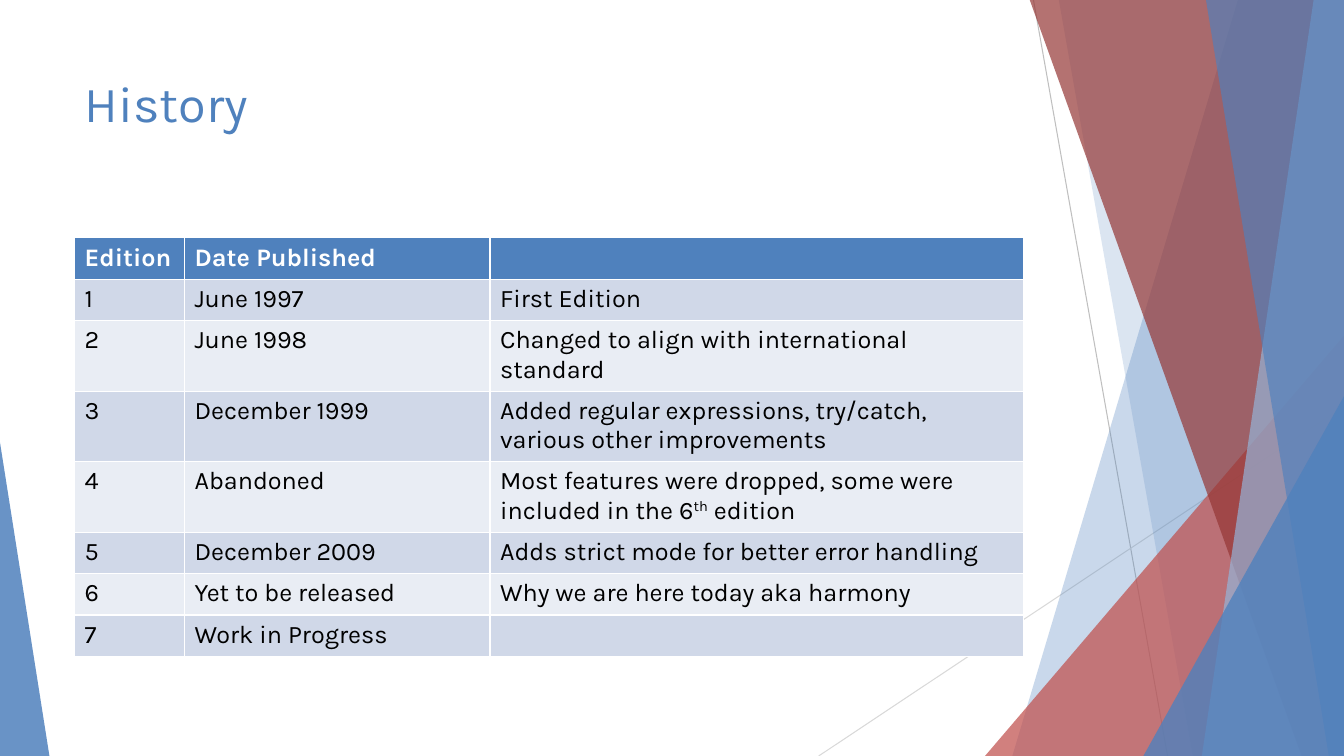
from lxml import etree
from pptx import Presentation
from pptx.dml.color import RGBColor
from pptx.enum.shapes import MSO_CONNECTOR, MSO_SHAPE
from pptx.oxml.ns import qn
from pptx.util import Inches, Pt

STRAIGHT = MSO_CONNECTOR.STRAIGHT
TRIANGLE = MSO_SHAPE.ISOSCELES_TRIANGLE

WIDTH, HEIGHT = 13.33, 7.5
TOP = -0.01
BLUE, RED, WHITE, BLACK = "4F81BD", "C0504D", "FFFFFF", "000000"
BANDS = ("D0D8E8", "E9EDF4")


def color(value):
    return RGBColor.from_string(value)


class SlideBuilder:
    font_name = "Karla"

    def __init__(self, slide):
        self.slide = slide
        self.shapes = slide.shapes

    def style_font(self, paragraph, size, hue, bold=False):
        font = paragraph.font
        font.name, font.size, font.bold = self.font_name, Pt(size), bold
        font.color.rgb = color(hue)

    def paint(self, shape, hue, opacity):
        shape.shadow.inherit = False
        shape.line.fill.background()
        shape.fill.solid()
        shape.fill.fore_color.rgb = color(hue)
        tint = shape.fill._xPr.find(".//" + qn("a:srgbClr"))
        etree.SubElement(tint, qn("a:alpha"), val=str(opacity * 1000))

    def line(self, start, end, hue):
        ends = [Inches(v) for v in (*start, *end)]
        connector = self.shapes.add_connector(STRAIGHT, *ends)
        connector.line.color.rgb = color(hue)
        connector.line.width = Pt(0.75)
        etree.SubElement(connector._element.spPr, qn("a:effectLst"))

    def ribbon(self, top_left, bottom_left, hue, opacity):
        """Band with a slanted left edge that runs to the right slide edge."""
        builder = self.shapes.build_freeform(
            Inches(top_left), Inches(TOP))
        corners = [(WIDTH, TOP), (WIDTH, HEIGHT), (bottom_left, HEIGHT)]
        builder.add_line_segments(
            [(Inches(x), Inches(y)) for x, y in corners], close=True)
        self.paint(builder.convert_to_shape(), hue, opacity)

    def triangle(self, left, top, width, apex, hue, opacity):
        """Triangle that stands on the bottom edge of the slide."""
        shape = self.shapes.add_shape(
            TRIANGLE, Inches(left), Inches(top),
            Inches(width), Inches(HEIGHT - top))
        shape.adjustments[0] = apex
        self.paint(shape, hue, opacity)

    def title(self, text, left, top, width, height):
        box = self.shapes.add_textbox(
            Inches(left), Inches(top), Inches(width), Inches(height))
        box.text_frame.word_wrap = True
        paragraph = box.text_frame.paragraphs[0]
        paragraph.text = text
        self.style_font(paragraph, 36, BLUE)

    def cell(self, cell, content, fill, hue, bold):
        cell.fill.solid()
        cell.fill.fore_color.rgb = color(fill)
        paragraph = cell.text_frame.paragraphs[0]
        self.style_font(paragraph, 18, hue, bold)
        # A tuple alternates normal and superscript text
        parts = content if isinstance(content, tuple) else (content,)
        for i, part in enumerate(parts):
            if part:
                run = paragraph.add_run()
                run.text = part
                if i % 2:
                    run.font._element.set("baseline", "30000")

    def table(self, rows, left, top, widths, row_height):
        table = self.shapes.add_table(
            len(rows), len(widths), Inches(left), Inches(top),
            Inches(sum(widths)), Inches(row_height * len(rows))).table
        for column, width in zip(table.columns, widths):
            column.width = Inches(width)
        for r, row in enumerate(rows):
            header = r == 0
            fill = BLUE if header else BANDS[(r - 1) % 2]
            for c, content in enumerate(row):
                self.cell(table.cell(r, c), content, fill,
                          WHITE if header else BLACK, header)


presentation = Presentation()
presentation.slide_width = Inches(WIDTH)
presentation.slide_height = Inches(HEIGHT)
page = SlideBuilder(
    presentation.slides.add_slide(presentation.slide_layouts[6]))

# Thin lines behind the ribbons
page.line((10.25, 0), (11.58, HEIGHT), "BFBFBF")
page.line((WIDTH, 4.03), (8.12, HEIGHT), "D9D9D9")

# Translucent ribbons and triangles, back to front
page.ribbon(12.28, 10.04, BLUE, 30)
page.ribbon(10.5, 11.83, BLUE, 20)
page.triangle(9.77, 3.33, 3.56, 1, RED, 72)
page.ribbon(10.21, 12.91, "953735", 70)
page.ribbon(13.03, 11.92, "95B3D7", 70)
page.ribbon(11.96, 13.18, BLUE, 65)
page.triangle(11.34, 3.93, 1.99, 1, BLUE, 80)
page.triangle(0, 4.39, 0.49, 0, BLUE, 85)

# Title
page.title("History", 0.74, 0.67, 9.4, 1.44)

# Editions
editions = [
    ("Edition", "Date Published", ""),
    ("1", "June 1997", "First Edition"),
    ("2", "June 1998", "Changed to align with international standard"),
    ("3", "December 1999",
     "Added regular expressions, try/catch, various other improvements"),
    ("4", "Abandoned",
     ("Most features were dropped, some were included in the 6",
      "th", " edition")),
    ("5", "December 2009", "Adds strict mode for better error handling"),
    ("6", "Yet to be released", "Why we are here today aka harmony"),
    ("7", "Work in Progress", ""),
]
page.table(editions, 0.74, 2.36, (1.09, 3.03, 5.29), 0.41)

presentation.save("out.pptx")
